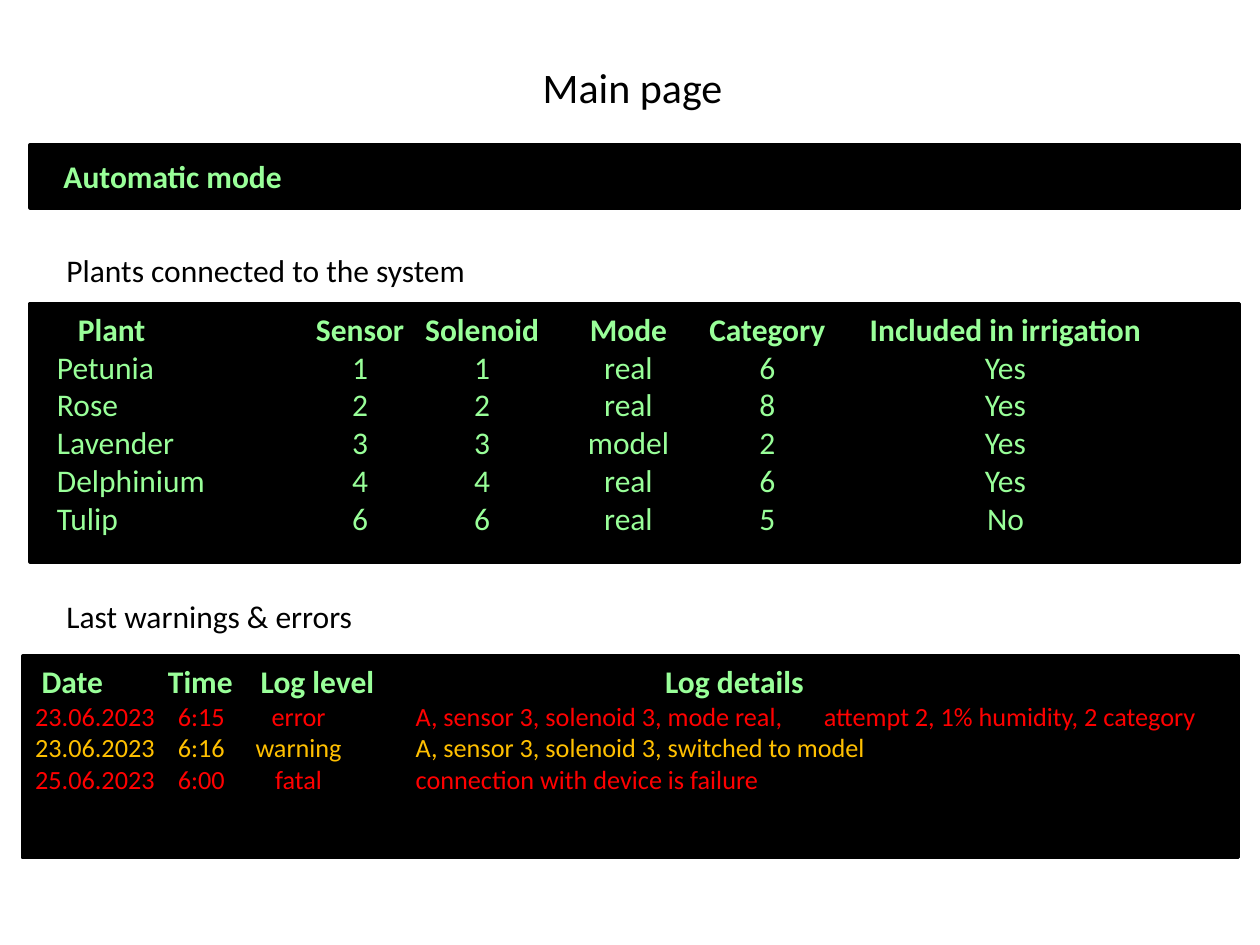
from lxml.etree import SubElement
from pptx import Presentation
from pptx.dml.color import RGBColor
from pptx.enum.shapes import MSO_SHAPE
from pptx.enum.text import MSO_ANCHOR, MSO_AUTO_SIZE, PP_ALIGN
from pptx.oxml.ns import qn
from pptx.util import Cm, Pt

BLACK = RGBColor(0x00, 0x00, 0x00)
GREEN = RGBColor(0x99, 0xFF, 0x99)
RED = RGBColor(0xFF, 0x00, 0x00)
AMBER = RGBColor(0xFF, 0xC0, 0x00)


class Page:
    font = "Calibri"

    def __init__(self, slide):
        self.s = slide

    def line(self, p, text, size, color, bold=False, tabs=()):
        p.text = text
        p.alignment = PP_ALIGN.LEFT
        for r in p.runs:
            r.font.name = self.font
            r.font.size = Pt(size)
            r.font.bold = bold
            r.font.color.rgb = color
        if tabs:
            tab_list = SubElement(p._p.get_or_add_pPr(), qn("a:tabLst"))
            for pos, align in tabs:
                SubElement(tab_list, qn("a:tab"), pos=str(Cm(pos)), algn=align)

    def label(self, x, y, w, h, text, size=18, wrap=True):
        tf = self.s.shapes.add_textbox(Cm(x), Cm(y), Cm(w), Cm(h)).text_frame
        tf.word_wrap = wrap
        tf.auto_size = MSO_AUTO_SIZE.SHAPE_TO_FIT_TEXT
        self.line(tf.paragraphs[0], text, size, BLACK)

    def panel(self, x, y, w, h, anchor=MSO_ANCHOR.TOP):
        sp = self.s.shapes.add_shape(MSO_SHAPE.RECTANGLE, Cm(x), Cm(y), Cm(w), Cm(h))
        sp.shadow.inherit = False
        sp.fill.solid()
        sp.fill.fore_color.rgb = BLACK
        sp.line.color.rgb = BLACK
        sp.line.width = Pt(2)
        tf = sp.text_frame
        tf.word_wrap = True
        tf.vertical_anchor = anchor
        return tf


prs = Presentation()
prs.slide_width, prs.slide_height = Cm(25.4), Cm(19.05)
page = Page(prs.slides.add_slide(prs.slide_layouts[6]))

# Title
page.label(10.69, 1.12, 4.17, 1.27, "Main page", size=24, wrap=False)

# Log of warnings and errors
LOG_HEAD_TABS = [(0.13, "l"), (3.33, "ctr"), (5.69, "ctr"), (12.7, "l")]
LOG_ROW_TABS = [(3.35, "ctr"), (5.31, "ctr"), (7.67, "l"), (15.9, "l")]
log_rows = [
    ("23.06.2023\t6:15\terror\tA, sensor 3, solenoid 3, mode real,"
     "\tattempt 2, 1% humidity, 2 category", RED),
    ("23.06.2023\t6:16\twarning\tA, sensor 3, solenoid 3, switched to model", AMBER),
    ("25.06.2023\t6:00\tfatal\tconnection with device is failure", RED),
]
tf = page.panel(0.46, 13.23, 24.51, 4.06)
page.line(tf.paragraphs[0], "\tDate\tTime\tLog level\tLog details", 18, GREEN,
          True, LOG_HEAD_TABS)
for text, color in log_rows:
    page.line(tf.add_paragraph(), text, 15, color, tabs=LOG_ROW_TABS)

# Plants
page.label(1.09, 4.93, 13.59, 1.02, "Plants connected to the system")
PLANT_TABS = [(pos, "ctr") for pos in (6.4, 8.86, 11.81, 14.61, 19.41)]
plants = [
    ("Petunia", "1", "1", "real", "6", "Yes"),
    ("Rose", "2", "2", "real", "8", "Yes"),
    ("Lavender", "3", "3", "model", "2", "Yes"),
    ("Delphinium", "4", "4", "real", "6", "Yes"),
    ("Tulip", "6", "6", "real", "5", "No"),
]
tf = page.panel(0.61, 6.12, 24.38, 5.21)
page.line(tf.paragraphs[0],
          "\tPlant\tSensor\tSolenoid\tMode\tCategory\tIncluded in irrigation",
          18, GREEN, True, [(0.71, "l")] + PLANT_TABS)
for plant in plants:
    page.line(tf.add_paragraph(), "\t" + "\t".join(plant), 18, GREEN,
              tabs=[(0.29, "l")] + PLANT_TABS)

# Log heading
page.label(1.09, 11.91, 7.82, 1.02, "Last warnings & errors")

# Mode bar
tf = page.panel(0.61, 2.92, 24.38, 1.27, MSO_ANCHOR.MIDDLE)
tf.margin_left = Cm(0.67)
page.line(tf.paragraphs[0], "Automatic mode", 18, GREEN, True)

prs.save("out.pptx")
